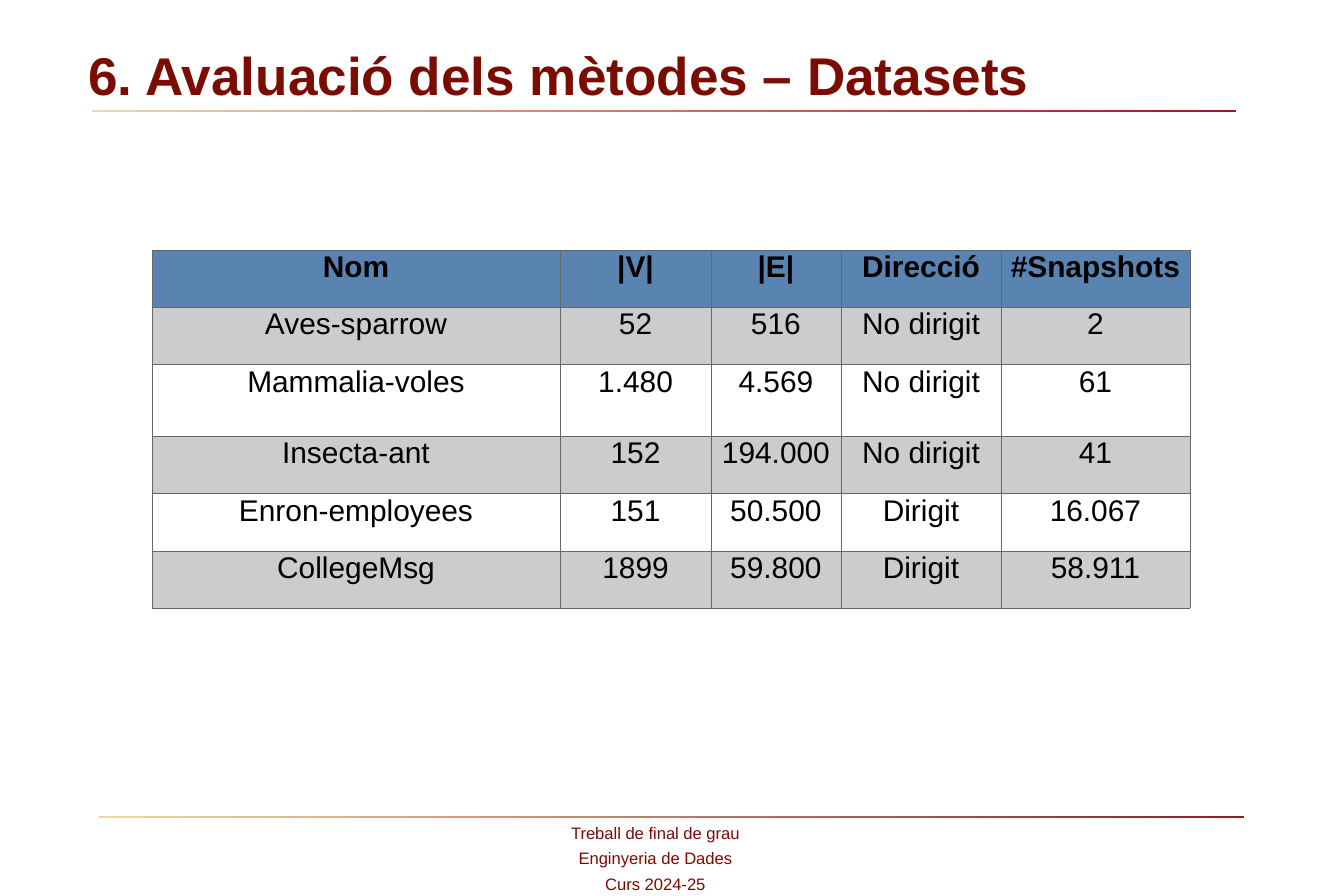
import pptx
import pptx.dml.color
import pptx.enum.shapes
import pptx.enum.text
import pptx.oxml
import pptx.oxml.ns
import pptx.util

PX = 9144
FONT = "Arial"
COLOURS = {
    "maroon": "7B0C02", "sand": "EAD9A8", "crimson": "95192B", "black": "000000",
    "header": "5983B0", "band": "CCCCCC", "white": "FFFFFF", "border": "666666",
}
COLUMN_WIDTHS = [342, 126, 109, 134, 158]
ROW_HEIGHTS = [48, 48, 60, 48, 48, 48]
DATASETS = [
    ["Nom", "|V|", "|E|", "Direcció", "#Snapshots"],
    ["Aves-sparrow", "52", "516", "No dirigit", "2"],
    ["Mammalia-voles", "1.480", "4.569", "No dirigit", "61"],
    ["Insecta-ant", "152", "194.000", "No dirigit", "41"],
    ["Enron-employees", "151", "50.500", "Dirigit", "16.067"],
    ["CollegeMsg", "1899", "59.800", "Dirigit", "58.911"],
]


def emu(*lengths):
    """Turn px lengths into EMU."""
    return [length * PX for length in lengths]


def colour(name):
    """Return the named colour."""
    return pptx.dml.color.RGBColor.from_string(COLOURS[name])


def format_paragraph(paragraph, size, colour_name, bold=False, centred=True):
    """Set the alignment of a paragraph and the font of its runs."""
    alignments = pptx.enum.text.PP_ALIGN
    paragraph.alignment = alignments.CENTER if centred else alignments.LEFT
    for run in paragraph.runs:
        run.font.name = FONT
        run.font.size = pptx.util.Pt(size)
        run.font.bold = bold
        run.font.color.rgb = colour(colour_name)


def add_rule(slide, left, top, width, height):
    """Add a thin bar fading from sand to crimson."""
    rectangle = pptx.enum.shapes.MSO_SHAPE.RECTANGLE
    shape = slide.shapes.add_shape(rectangle, *emu(left, top, width, height))
    shape.shadow.inherit = False
    shape.line.fill.background()
    shape.fill.gradient()
    shape.fill.gradient_angle = 0
    for stop, position, name in zip(shape.fill.gradient_stops, (0, 1), ("sand", "crimson")):
        stop.position = position
        stop.color.rgb = colour(name)


def add_header(slide, left, top, width, height):
    """Fill the title placeholder and underline it."""
    title = slide.shapes.title
    title.left, title.top, title.width, title.height = emu(left, top, width, height)
    title.text_frame.text = "6. Avaluació dels mètodes – Datasets"
    title.text_frame.auto_size = pptx.enum.text.MSO_AUTO_SIZE.NONE
    title.text_frame.vertical_anchor = pptx.enum.text.MSO_ANCHOR.MIDDLE
    format_paragraph(title.text_frame.paragraphs[0], 32, "maroon", bold=True, centred=False)
    add_rule(slide, left + 13, top + 92, 958, 2)


def add_footer(slide, left, top, width, height):
    """Add the footer rule with the course lines centred below it."""
    add_rule(slide, left, top, width, 2)
    text_box = slide.shapes.add_textbox(*emu(left + 385, top + 1, 161, height))
    text_frame = text_box.text_frame
    text_frame.word_wrap = False
    text_frame.text = "Treball de final de grau\nEnginyeria de Dades\nCurs 2024-25"
    for index, paragraph in enumerate(text_frame.paragraphs):
        paragraph.space_before = pptx.util.Pt(1.6 if index else 0)
        paragraph.space_after = pptx.util.Pt(1.6)
        format_paragraph(paragraph, 10, "maroon")


def add_borders(cell):
    """Draw a hairline on each side of a cell."""
    properties = cell._tc.get_or_add_tcPr()
    namespace = pptx.oxml.ns.nsdecls("a")
    for side in ("lnL", "lnR", "lnT", "lnB"):
        properties.append(pptx.oxml.parse_xml(
            f'<a:{side} {namespace} w="1400"><a:solidFill>'
            f'<a:srgbClr val="{COLOURS["border"]}"/></a:solidFill></a:{side}>'))


def fill_cell(cell, text, fill_name, bold):
    """Write and format one table cell."""
    add_borders(cell)
    cell.fill.solid()
    cell.fill.fore_color.rgb = colour(fill_name)
    cell.margin_left, cell.margin_right, cell.margin_top, cell.margin_bottom = emu(4, 4, 5, 5)
    cell.text_frame.text = text
    paragraph = cell.text_frame.paragraphs[0]
    paragraph.line_spacing = 0.81
    format_paragraph(paragraph, 18, "black", bold)


def add_dataset_table(slide, left, top):
    """Add the table of datasets with alternating row fills."""
    box = emu(left, top, sum(COLUMN_WIDTHS), sum(ROW_HEIGHTS))
    table = slide.shapes.add_table(len(ROW_HEIGHTS), len(COLUMN_WIDTHS), *box).table
    table.horz_banding = False
    for column, width in zip(table.columns, COLUMN_WIDTHS):
        column.width = width * PX
    for index, (row, height) in enumerate(zip(table.rows, ROW_HEIGHTS)):
        row.height = height * PX
        fill_name = "header" if index == 0 else ("white", "band")[index % 2]
        for cell, text in zip(row.cells, DATASETS[index]):
            fill_cell(cell, text, fill_name, index == 0)


def main():
    """Build and save the presentation."""
    presentation = pptx.Presentation()
    presentation.slide_width, presentation.slide_height = emu(1125, 750)
    slide = presentation.slides.add_slide(presentation.slide_layouts[5])
    slide.background.fill.solid()
    slide.background.fill.fore_color.rgb = colour("white")
    add_header(slide, 64, 0, 1042, 125)
    add_dataset_table(slide, 127, 209)
    add_footer(slide, 83, 683, 958, 70)
    presentation.save("out.pptx")


if __name__ == "__main__":
    main()
